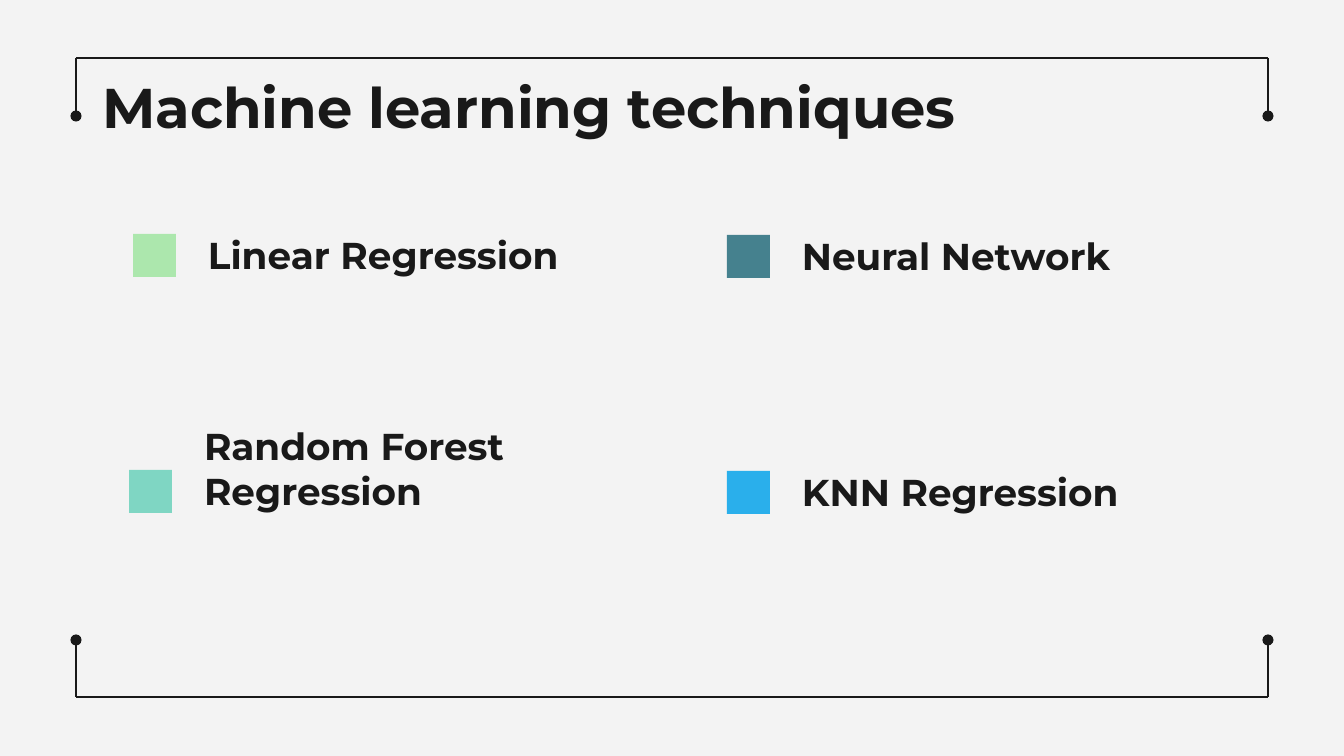
"""Build the machine learning techniques slide."""
from pptx import Presentation
from pptx.dml.color import RGBColor
from pptx.enum.shapes import MSO_CONNECTOR, MSO_SHAPE
from pptx.enum.text import MSO_ANCHOR, PP_ALIGN
from pptx.oxml.ns import qn
from pptx.util import Pt
from lxml.etree import SubElement

SCALE = 914400 / 134.4
FONT = "Montserrat"
COLORS = {
    "background": "F3F3F3", "ink": "191919", "green": "ACE7AD",
    "slate": "45818E", "mint": "7FD6C3", "blue": "2AAFEB",
}
TITLE = "Machine learning techniques"
TECHNIQUES = [
    ("Linear Regression", "green", 133, 234, 470),
    ("Neural Network", "slate", 727, 235, 470),
    ("Random Forest Regression", "mint", 129, 470, 364),
    ("KNN Regression", "blue", 727, 471, 470),
]
MARKER, LABEL_SHIFT, LABEL_RISE, LABEL_HEIGHT = 43, 62, 6, 62
FRAME_LEFT, FRAME_RIGHT = 76, 1268
BRACKETS = [(58, 116), (697, 640)]
INSET = 13


def px(*lengths):
    return [round(length * SCALE) for length in lengths]


def color(key):
    return RGBColor.from_string(COLORS[key])


def write(box, text, size, anchor):
    frame = box.text_frame
    frame.text = text
    frame.word_wrap = True
    frame.vertical_anchor = anchor
    frame.margin_left = frame.margin_right = px(INSET)[0]
    frame.margin_top = frame.margin_bottom = px(INSET)[0]
    paragraph = frame.paragraphs[0]
    paragraph.alignment = PP_ALIGN.LEFT
    paragraph.line_spacing = 1.0
    font = paragraph.runs[0].font
    font.name, font.size, font.bold = FONT, Pt(size), True
    font.color.rgb = color("ink")


def draw_line(slide, start, end, dotted=False):
    line = slide.shapes.add_connector(MSO_CONNECTOR.STRAIGHT, *px(*start, *end))
    line.line.color.rgb = color("ink")
    line.line.width = Pt(0.75)
    if dotted:
        SubElement(line.line._get_or_add_ln(), qn("a:tailEnd"), type="oval")
    SubElement(line._element.spPr, qn("a:effectLst"))


def add_technique(slide, label, fill, left, top, width):
    marker = slide.shapes.add_shape(MSO_SHAPE.RECTANGLE, *px(left, top, MARKER, MARKER))
    marker.shadow.inherit = False
    marker.fill.solid()
    marker.fill.fore_color.rgb = color(fill)
    marker.line.fill.background()
    caption = slide.shapes.add_textbox(
        *px(left + LABEL_SHIFT, top - LABEL_RISE, width, LABEL_HEIGHT))
    write(caption, label, 20, MSO_ANCHOR.BOTTOM)


def main():
    deck = Presentation()
    deck.slide_width, deck.slide_height = px(1344, 756)
    slide = deck.slides.add_slide(deck.slide_layouts[5])
    slide.background.fill.solid()
    slide.background.fill.fore_color.rgb = color("background")

    for edge, tip in BRACKETS:
        draw_line(slide, (FRAME_LEFT, edge), (FRAME_RIGHT, edge))
        for side in (FRAME_LEFT, FRAME_RIGHT):
            draw_line(slide, (side, edge), (side, tip), dotted=True)

    title = slide.shapes.title
    title.left, title.top, title.width, title.height = px(89, 60, 1207, 85)
    write(title, TITLE, 30, MSO_ANCHOR.TOP)

    for technique in TECHNIQUES:
        add_technique(slide, *technique)
    deck.save("out.pptx")


if __name__ == "__main__":
    main()
